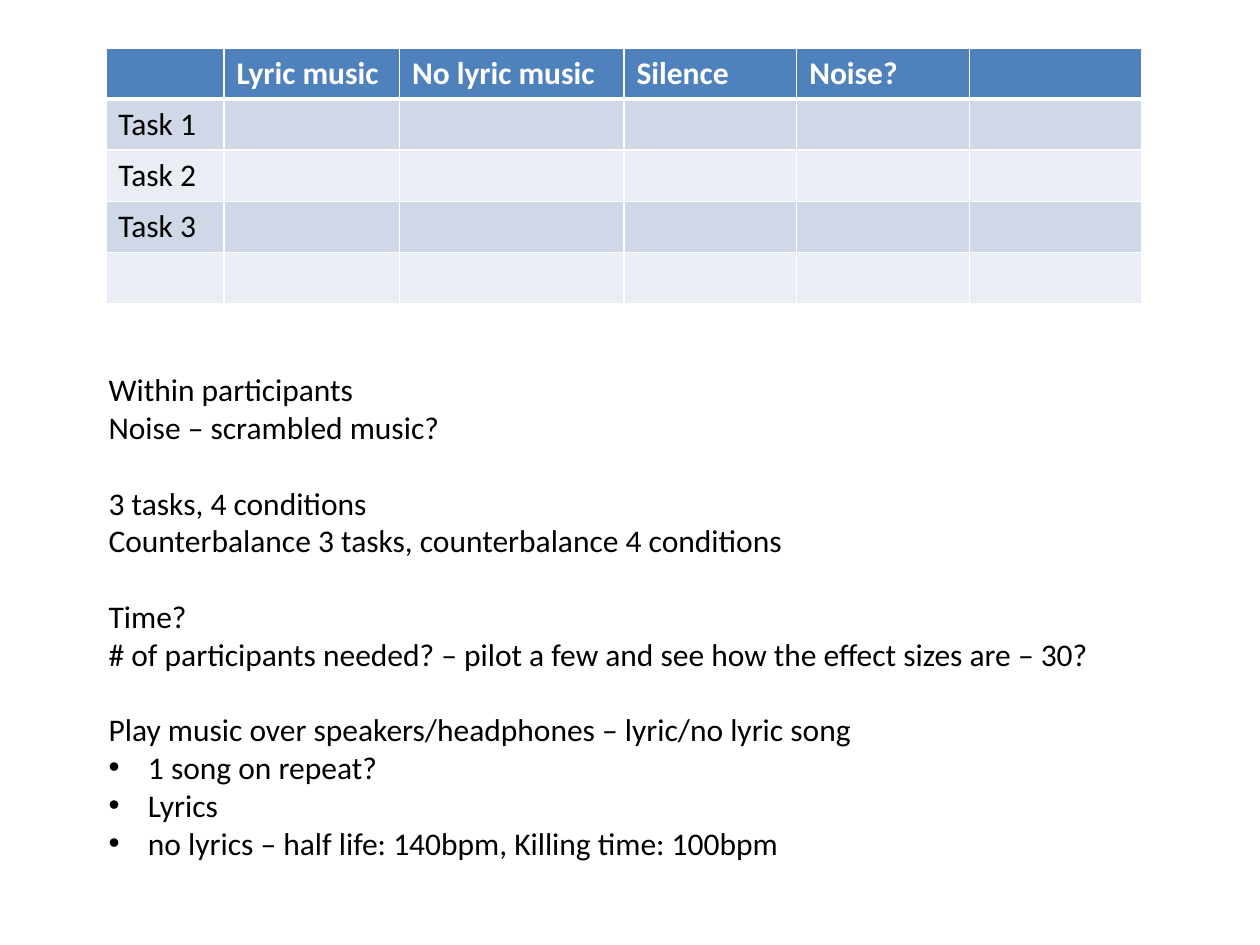
"""Build the study design slide: a task by condition table above planning notes."""
from dataclasses import dataclass

from lxml.etree import SubElement
from pptx import Presentation
from pptx.dml.color import RGBColor
from pptx.enum.text import MSO_AUTO_SIZE
from pptx.oxml.ns import qn
from pptx.util import Pt

WHITE = RGBColor(0xFF, 0xFF, 0xFF)
BLACK = RGBColor(0x00, 0x00, 0x00)
HEADER_BLUE = RGBColor(0x4F, 0x81, 0xBD)
BANDS = (RGBColor(0xD0, 0xD8, 0xE8), RGBColor(0xE9, 0xED, 0xF4))

FONT = "Calibri"
TEXT_SIZE = 18
GROUP_GAP = 21.6
BULLET_INDENT = 22.5
ROW_HEIGHT = 29.2
COLUMN_WIDTHS = (67.5, 100.3, 128.3, 98.7, 98.7, 98.7)
CONDITIONS = ("", "Lyric music", "No lyric music", "Silence", "Noise?", "")
TASKS = ("Task 1", "Task 2", "Task 3", "")


@dataclass(frozen=True)
class Note:
    text: str
    starts_group: bool = False
    bullet: bool = False


NOTES = (
    Note("Within participants "),
    Note("Noise – scrambled music?"),
    Note("3 tasks, 4 conditions ", starts_group=True),
    Note("Counterbalance 3 tasks, counterbalance 4 conditions"),
    Note("Time?", starts_group=True),
    Note("# of participants needed? – pilot a few and see how the effect sizes are – 30?"),
    Note("Play music over speakers/headphones – lyric/no lyric song", starts_group=True),
    Note("1 song on repeat?", bullet=True),
    Note("Lyrics", bullet=True),
    Note("no lyrics – half life: 140bpm, Killing time: 100bpm", bullet=True),
)


def write(para, text: str, *, color: RGBColor = BLACK, bold: bool = False,
          space_before: float = 0, bullet: bool = False) -> None:
    para.space_before = Pt(space_before)
    para.font.size = Pt(TEXT_SIZE)
    if bullet:
        properties = para._p.get_or_add_pPr()
        properties.set("marL", str(Pt(BULLET_INDENT)))
        properties.set("indent", str(-Pt(BULLET_INDENT)))
        SubElement(properties, qn("a:buFont"), typeface="Arial")
        SubElement(properties, qn("a:buChar"), char="•")
    if text:
        span = para.add_run()
        span.text = text
        span.font.name = FONT
        span.font.size = Pt(TEXT_SIZE)
        span.font.bold = bold
        span.font.color.rgb = color


def add_borders(cell, *, top: float, bottom: float) -> None:
    properties = cell._tc.get_or_add_tcPr()
    for side, width in (("L", 1), ("R", 1), ("T", top), ("B", bottom)):
        line = SubElement(properties, qn(f"a:ln{side}"), w=str(Pt(width)))
        fill = SubElement(line, qn("a:solidFill"))
        SubElement(fill, qn("a:srgbClr"), val=str(WHITE))


def add_design_table(page) -> None:
    rows = [CONDITIONS] + [(task,) + ("",) * (len(CONDITIONS) - 1) for task in TASKS]
    table = page.shapes.add_table(
        len(rows), len(CONDITIONS), Pt(60.5), Pt(27.4),
        Pt(sum(COLUMN_WIDTHS)), Pt(ROW_HEIGHT * len(rows))).table
    for column, width in zip(table.columns, COLUMN_WIDTHS):
        column.width = Pt(width)
    for row_index, texts in enumerate(rows):
        table.rows[row_index].height = Pt(ROW_HEIGHT)
        header = row_index == 0
        for column_index, text in enumerate(texts):
            cell = table.cell(row_index, column_index)
            add_borders(cell, top=3 if row_index == 1 else 1, bottom=3 if header else 1)
            cell.fill.solid()
            cell.fill.fore_color.rgb = HEADER_BLUE if header else BANDS[(row_index - 1) % 2]
            write(cell.text_frame.paragraphs[0], text,
                  color=WHITE if header else BLACK, bold=header)


def add_notes(page) -> None:
    box = page.shapes.add_textbox(Pt(55), Pt(208), Pt(582), Pt(291))
    frame = box.text_frame
    frame.word_wrap = False
    frame.auto_size = MSO_AUTO_SIZE.SHAPE_TO_FIT_TEXT
    for index, note in enumerate(NOTES):
        para = frame.add_paragraph() if index else frame.paragraphs[0]
        write(para, note.text, bullet=note.bullet,
              space_before=GROUP_GAP if note.starts_group else 0)


def main() -> None:
    deck = Presentation()
    deck.slide_width, deck.slide_height = Pt(720), Pt(540)
    page = deck.slides.add_slide(deck.slide_layouts[6])
    add_design_table(page)
    add_notes(page)
    deck.save("out.pptx")


main()
